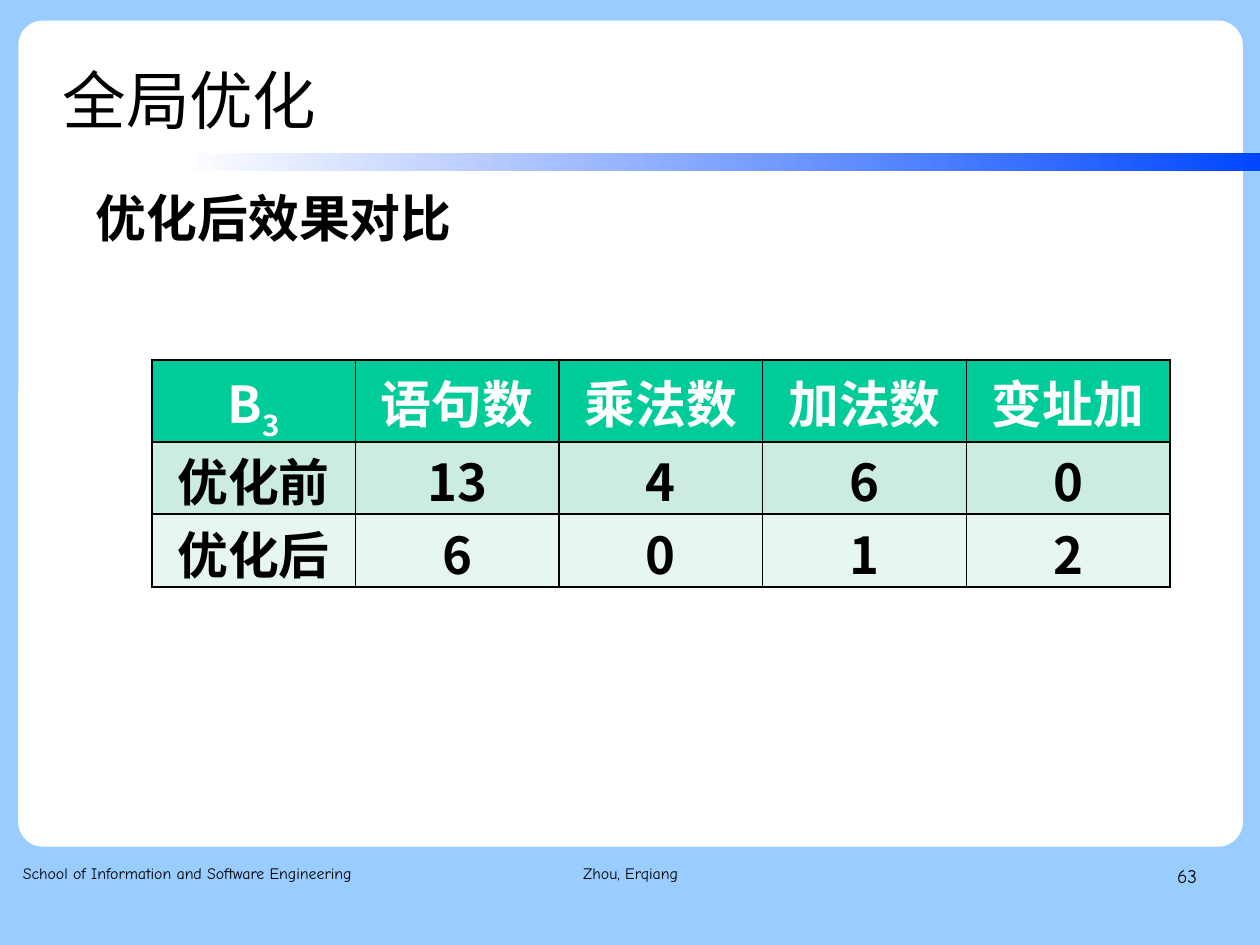
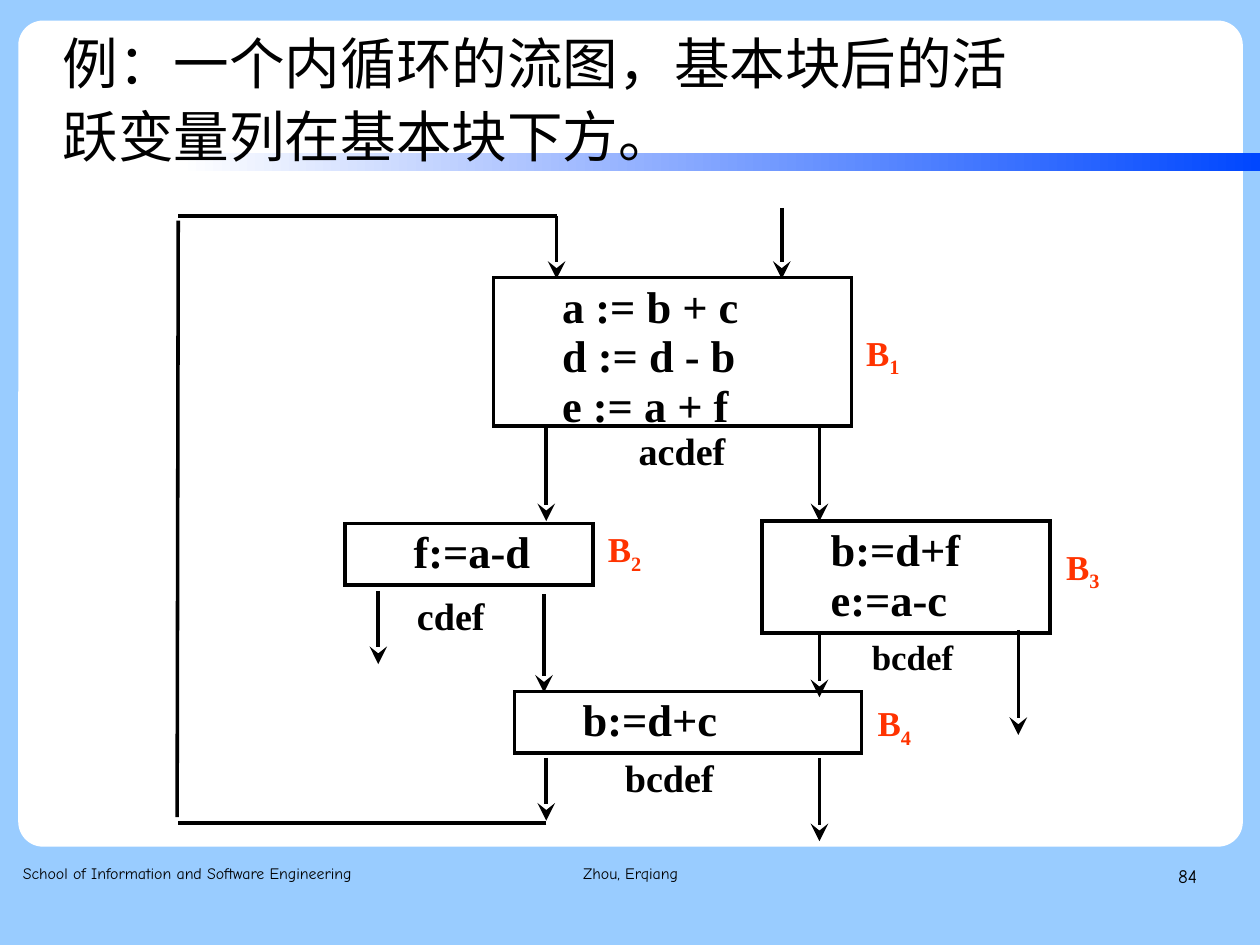
from dataclasses import dataclass

import pptx
import pptx.dml.color
import pptx.enum.shapes
import pptx.enum.text
import pptx.oxml.ns
import pptx.util
from lxml import etree

PAGE_W, PAGE_H = pptx.util.Cm(28), pptx.util.Cm(21)
COLORS = {
    "sky": "99CCFF", "panel": "FFFFFF", "band": "0047FF", "ink": "000000",
    "label": "FF3300", "header": "00CC99", "before": "CBECDE", "after": "E7F6EF",
}
CJK, SERIF, FOOT = "Noto Sans CJK SC", "Times New Roman", "Comic Neue"
SHAPE = pptx.enum.shapes.MSO_SHAPE
ALIGN = pptx.enum.text.PP_ALIGN
ANCHOR = pptx.enum.text.MSO_ANCHOR
qn = pptx.oxml.ns.qn


@dataclass
class Grid:
    """A box in inches, divided into columns and rows."""
    left: float
    top: float
    width: float
    height: float
    cols: float = 100
    rows: float = 100

    def inches(self, x, y, w=0, h=0):
        """Return a grid rectangle in inches."""
        dx, dy = self.width / self.cols, self.height / self.rows
        return self.left + x * dx, self.top + y * dy, w * dx, h * dy

    def at(self, x, y, w=0, h=0):
        """Return a grid rectangle as lengths."""
        return [pptx.util.Inches(v) for v in self.inches(x, y, w, h)]

    def sub(self, x, y, w, h, cols=100, rows=100):
        """Return a grid inside this one."""
        return Grid(*self.inches(x, y, w, h), cols, rows)


PAGE = Grid(0, 0, PAGE_W.inches, PAGE_H.inches)


def rgb(name):
    """Look up a colour by name."""
    return pptx.dml.color.RGBColor.from_string(COLORS[name])


def style(p, font, size, color="ink", bold=False, align=ALIGN.LEFT, spacing=1.0):
    """Format one paragraph, East Asian font included."""
    p.alignment, p.line_spacing = align, spacing
    p.font.size, p.font.bold = pptx.util.Pt(size), bold
    p.font.color.rgb = rgb(color)
    p.font.name = font
    latin = p._p.pPr.find(qn("a:defRPr")).find(qn("a:latin"))
    ea = etree.Element(qn("a:ea"), typeface=font)
    latin.addnext(ea)


def write(p, text, sub=""):
    """Write text with an optional subscript."""
    p.add_run().text = text
    if sub:
        r = p.add_run()
        r.text = sub
        r.font._element.set("baseline", "-25000")


def set_margins(tf, left=0, top=0, right=0, bottom=0):
    """Set the insets of a text frame or cell in inches."""
    tf.margin_left, tf.margin_top = pptx.util.Inches(left), pptx.util.Inches(top)
    tf.margin_right, tf.margin_bottom = pptx.util.Inches(right), pptx.util.Inches(bottom)


def add_text(slide, place, text, font, size, sub="", wrap=True, inset=None, **look):
    """Add a one-paragraph text box."""
    tf = slide.shapes.add_textbox(*place).text_frame
    tf.word_wrap = wrap
    if inset is not None:
        set_margins(tf, left=inset)
    write(tf.paragraphs[0], text, sub)
    style(tf.paragraphs[0], font, size, **look)


def add_line(slide, grid, start, end, arrow=False):
    """Draw a straight line between two grid points."""
    line = slide.shapes.add_connector(
        pptx.enum.shapes.MSO_CONNECTOR.STRAIGHT, *grid.at(*start)[:2], *grid.at(*end)[:2])
    line.line.color.rgb, line.line.width = rgb("ink"), pptx.util.Pt(2.25)
    if arrow:
        etree.SubElement(line.line._get_or_add_ln(), qn("a:tailEnd"),
                         type="stealth", w="lg", len="lg")
    etree.SubElement(line._element.spPr, qn("a:effectLst"))


def setup_layout(prs, layout):
    """Put the background, panel and gradient band on the layout."""
    bg = prs.slide_master.background.fill
    bg.solid()
    bg.fore_color.rgb = rgb("sky")
    draft = prs.slides[0].shapes
    panel = draft.add_shape(SHAPE.ROUNDED_RECTANGLE, *PAGE.at(1.45, 2.18, 97.19, 87.42))
    panel.adjustments[0] = 0.03
    panel.fill.solid()
    panel.fill.fore_color.rgb = rgb("panel")
    band = draft.add_shape(SHAPE.RECTANGLE, *PAGE.at(14.25, 16.2, 85.75, 1.93))
    band.fill.gradient()
    band.fill.gradient_angle = 0
    for stop, position, color in zip(band.fill.gradient_stops, (0, 1), ("panel", "band")):
        stop.position, stop.color.rgb = position, rgb(color)
    for i, sp in enumerate((panel, band)):
        sp.line.fill.background()
        sp.shadow.inherit = False
        layout.shapes._spTree.insert(2 + i, sp._element)


def add_frame(slide, title, size, number):
    """Fill the title and the three footer texts."""
    sp = slide.shapes.title
    sp.left, sp.top, sp.width, sp.height = PAGE.at(4.97, 4, 77.86, 12.21)
    tf = sp.text_frame
    tf.text = title
    tf.word_wrap, tf.auto_size = True, pptx.enum.text.MSO_AUTO_SIZE.NONE
    tf.vertical_anchor = ANCHOR.MIDDLE
    set_margins(tf)
    style(tf.paragraphs[0], CJK, size, spacing=1.1)
    footers = [
        (1.45, 30.67, "School of Information and Software Engineering", 10, ALIGN.LEFT, 0.04),
        (34.21, 31.67, "Zhou, Erqiang", 10, ALIGN.CENTER, 0),
        (71.69, 23.32, number, 12, ALIGN.RIGHT, 0),
    ]
    for x, w, text, pt, align, inset in footers:
        add_text(slide, PAGE.at(x, 91.05, w, 6.89), text, FOOT, pt,
                 inset=inset, align=align, spacing=1.16)


def add_borders(cell):
    """Give a cell thin black borders."""
    tc_pr = cell._tc.get_or_add_tcPr()
    for i, side in enumerate(("lnL", "lnR", "lnT", "lnB")):
        ln = etree.Element(qn("a:" + side), w="12700")
        fill = etree.SubElement(ln, qn("a:solidFill"))
        etree.SubElement(fill, qn("a:srgbClr"), val=COLORS["ink"])
        tc_pr.insert(i, ln)


def add_comparison(slide, grid):
    """Draw the table of operation counts."""
    rows = [
        ("header", "panel", 72, 1.0, ("B", "语句数", "乘法数", "加法数", "变址加")),
        ("before", "ink", 63, 0.88, ("优化前", "13", "4", "6", "0")),
        ("after", "ink", 64, 0.88, ("优化后", "6", "0", "1", "2")),
    ]
    table = slide.shapes.add_table(len(rows), 5, *grid.at(0, 0, grid.cols, grid.rows)).table
    for col in table.columns:
        col.width = grid.at(0, 0, 1)[2]
    for i, (fill, color, height, spacing, texts) in enumerate(rows):
        table.rows[i].height = grid.at(0, 0, 0, height)[3]
        for j, text in enumerate(texts):
            cell = table.cell(i, j)
            cell.fill.solid()
            cell.fill.fore_color.rgb = rgb(fill)
            cell.vertical_anchor = ANCHOR.BOTTOM if i else ANCHOR.TOP
            set_margins(cell, top=0 if i else 0.04)
            p = cell.text_frame.paragraphs[0]
            write(p, text, "3" if text == "B" else "")
            style(p, CJK, 32, color, True, ALIGN.CENTER, spacing)
            add_borders(cell)


def add_block(slide, grid, index, place, code, label, live, variables, size):
    """Draw a basic block with its label and live variables."""
    sp = slide.shapes.add_shape(SHAPE.RECTANGLE, *grid.at(*place))
    sp.shadow.inherit = False
    sp.fill.background()
    sp.line.color.rgb, sp.line.width = rgb("ink"), pptx.util.Pt(2.25)
    etree.SubElement(sp.line._get_or_add_ln(), qn("a:miter"), lim="800000")
    tf = sp.text_frame
    tf.vertical_anchor = ANCHOR.TOP
    for i, text in enumerate(code):
        p = tf.paragraphs[0] if i == 0 else tf.add_paragraph()
        write(p, text)
        style(p, SERIF, 28, bold=True, spacing=0.93)
        p._p.pPr.set("marL", str(pptx.util.Inches(0.5)))
    add_text(slide, grid.at(*label, 5.1, 4.4), "B", SERIF, 22, sub=str(index),
             wrap=False, color="label", bold=True, spacing=0.93)
    add_text(slide, grid.at(*live, 4.8), variables, SERIF, size,
             wrap=False, bold=True, spacing=0.93)


def add_flow_graph(slide, grid):
    """Draw the four blocks and the flow between them."""
    blocks = [
        ((33, 11.6, 31.3, 13), ("a := b + c", "d := d - b", "e := a + f"),
         (64.6, 15.8), (44.7, 24.6, 9.7), "acdef", 24),
        ((20, 33.1, 21.7, 5.4), ("f:=a-d",), (42, 33), (25.3, 39, 8), "cdef", 24),
        ((56.5, 32.9, 25.2, 9.8), ("b:=d+f", "e:=a-c"),
         (82.1, 34.5), (65.1, 42.7, 9.2), "bcdef", 22),
        ((34.8, 47.8, 30.4, 5.4), ("b:=d+c",), (65.6, 48.2), (43.5, 53.2, 9.9), "bcdef", 24),
    ]
    for i, block in enumerate(blocks, 1):
        add_block(slide, grid, i, *block)
    arrows = [
        (58.2, 5.5, 11.7), (38.5, 6.2, 11.7), (37.6, 24.6, 32.9), (61.5, 24.6, 32.9),
        (22.9, 39, 45.4), (37.4, 39.3, 47.9), (61.5, 42.8, 48.3), (78.9, 42.4, 51.6),
        (37.6, 53.6, 59.1), (61.5, 53.6, 60.9),
    ]
    for x, top, bottom in arrows:
        add_line(slide, grid, (x, top), (x, bottom), arrow=True)
    back_edge = [((37.6, 59.3), (5.4, 59.3)), ((5.3, 58.8), (5.4, 6.6)), ((5.4, 6.2), (38.5, 6.2))]
    for start, end in back_edge:
        add_line(slide, grid, start, end)


def main():
    """Build and save both slides."""
    prs = pptx.Presentation()
    prs.slide_width, prs.slide_height = PAGE_W, PAGE_H
    layout = prs.slide_layouts[5]
    effect, flow = [prs.slides.add_slide(layout) for _ in range(2)]
    setup_layout(prs, layout)

    add_frame(effect, "全局优化", 40, "63")
    add_text(effect, PAGE.at(6.72, 19.59, 68.33, 7.38), "优化后效果对比", CJK, 32,
             bold=True, spacing=0.95)
    add_comparison(effect, PAGE.sub(12.05, 38.08, 80.82, 24.06, cols=5, rows=199))

    add_frame(flow, "例：一个内循环的流图，基本块后的活跃变量列在基本块下方。", 35, "84")
    add_flow_graph(flow, PAGE.sub(9.25, 15.36, 90.71, 84.67, cols=100, rows=70))
    prs.save("out.pptx")


if __name__ == "__main__":
    main()
